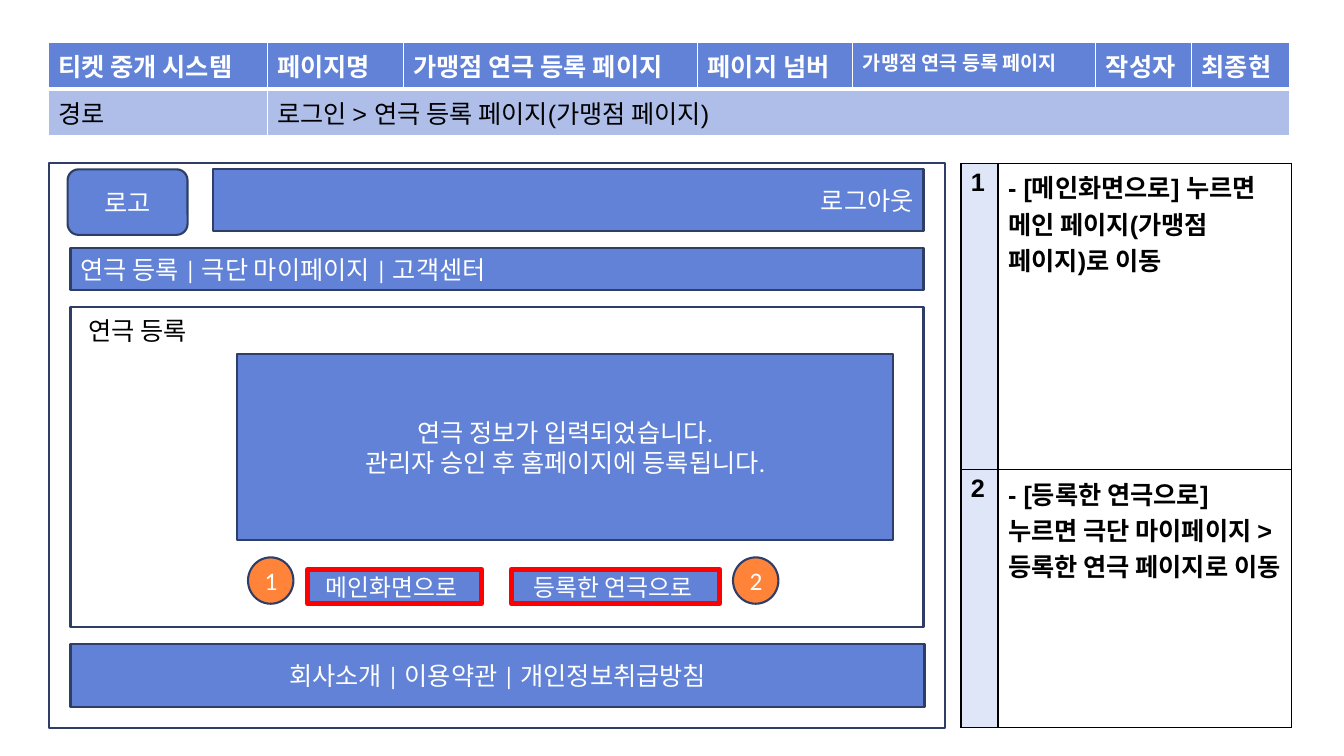
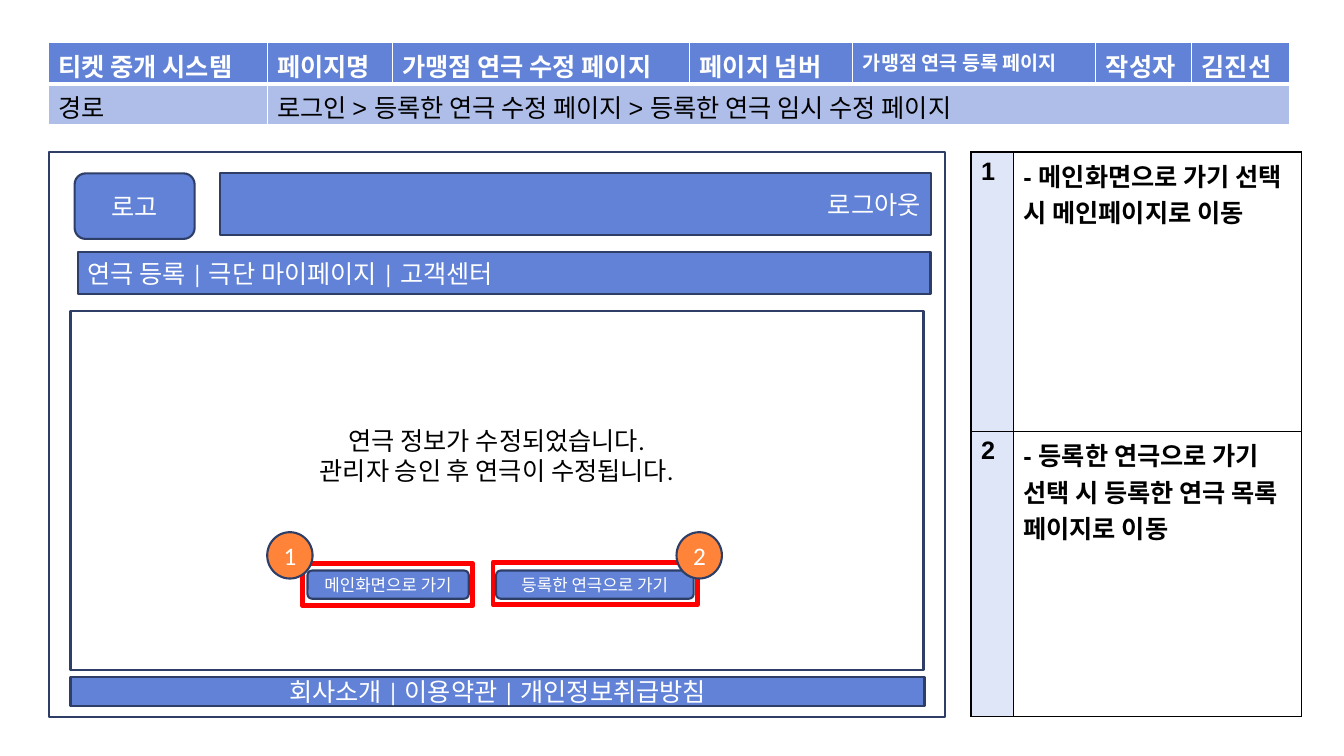
from lxml import etree
from pptx import Presentation
from pptx.dml.color import RGBColor
from pptx.enum import shapes, text
from pptx.oxml import ns
from pptx.util import Inches, Pt

COLORS = {
    "blue": "6182D6", "pale": "AEBEE9", "mist": "DFE6F7", "navy": "2E3E66",
    "orange": "FF843A", "red": "FF0000", "white": "FFFFFF", "black": "000000",
}
RECT = shapes.MSO_SHAPE.RECTANGLE
ROUND = shapes.MSO_SHAPE.ROUNDED_RECTANGLE
OVAL = shapes.MSO_SHAPE.OVAL
LEFT, CENTER, RIGHT = text.PP_ALIGN.LEFT, text.PP_ALIGN.CENTER, text.PP_ALIGN.RIGHT
HEADER_BORDER = {"L": 1, "R": 1, "T": 1, "B": 3}
ROUTE_BORDER = {"L": 1, "R": 1, "T": 3, "B": 1}
NOTE_BORDER = dict.fromkeys("LRTB", 1.2)


def rgb(name):
    return RGBColor.from_string(COLORS[name])


class Wireframe:
    """Holds the deck style and draws elements on the current slide."""

    def __init__(self):
        self.prs = Presentation()
        self.prs.slide_width = Inches(13.33)
        self.prs.slide_height = Inches(7.5)
        self.s = None

    def new_slide(self):
        self.s = self.prs.slides.add_slide(self.prs.slide_layouts[6])

    def put_text(self, tf, lines, color="white", size=18, align=LEFT, font="Calibri", bold=False):
        style = {"name": font, "size": Pt(size), "bold": bold}
        for i, line in enumerate(lines.split("\n")):
            p = tf.add_paragraph() if i else tf.paragraphs[0]
            p.alignment = align
            r = p.add_run()
            r.text = line
            for key, value in style.items():
                setattr(r.font, key, value)
            r.font.color.rgb = rgb(color)
            if font == "Calibri":
                ea = etree.SubElement(r.font._element, ns.qn("a:ea"))
                ea.set("typeface", font)

    def box(self, at, label="", kind=RECT, fill="blue", line="navy", width=1.5, size=18, align=CENTER):
        sp = self.s.shapes.add_shape(kind, *map(Inches, at))
        sp.shadow.inherit = False
        if fill:
            sp.fill.solid()
            sp.fill.fore_color.rgb = rgb(fill)
        else:
            sp.fill.background()
        sp.line.color.rgb = rgb(line)
        sp.line.width = Pt(width)
        if label:
            self.put_text(sp.text_frame, label, size=size, align=align)

    def outline(self, at):
        self.box(at, fill=None)

    def highlight(self, at):
        self.box(at, fill=None, line="red", width=3.5)

    def badge(self, x, y, number):
        self.box((x, y, 0.45, 0.46), number, OVAL, "orange")

    def caption(self, at, label, align=LEFT):
        tf = self.s.shapes.add_textbox(*map(Inches, at)).text_frame
        tf.word_wrap = True
        self.put_text(tf, label, "black", align=align)

    def grid(self, x, y, cols, rows):
        shape = self.s.shapes.add_table(
            len(rows), len(cols), *map(Inches, (x, y, sum(cols), sum(rows))))
        table = shape.table
        table.horz_banding = False
        for col, width in zip(table.columns, cols):
            col.width = Inches(width)
        for row, height in zip(table.rows, rows):
            row.height = Inches(height)
        return table

    def cell(self, cell, label, fill, line, borders, color="black", size=18, bold=True):
        tcPr = cell._tc.get_or_add_tcPr()
        for side, width in borders.items():
            ln = etree.SubElement(tcPr, ns.qn(f"a:ln{side}"), w=str(Pt(width)))
            paint = etree.SubElement(ln, ns.qn("a:solidFill"))
            etree.SubElement(paint, ns.qn("a:srgbClr"), val=COLORS[line])
        cell.fill.solid()
        cell.fill.fore_color.rgb = rgb(fill)
        if label:
            self.put_text(cell.text_frame, label, color, size, font="Arial", bold=bold)

    def header(self, cols, page, author, route):
        table = self.grid(0.48, 0.42, cols, (0.41, 0.41))
        labels = ("티켓 중개 시스템", "페이지명", page, "페이지 넘버",
                  "가맹점 연극 등록 페이지", "작성자", author)
        table.cell(1, 1).merge(table.cell(1, 6))
        for i, label in enumerate(labels):
            self.cell(table.cell(0, i), label, "blue", "white", HEADER_BORDER,
                      "white", 14 if i == 4 else 18)
            below = ("경로", route)[i] if i < 2 else ""
            self.cell(table.cell(1, i), below, "pale", "white", ROUTE_BORDER, bold=False)

    def notes(self, x, y, cols, rows, items):
        table = self.grid(x, y, cols, rows)
        for i, item in enumerate(items):
            self.cell(table.cell(i, 0), str(i + 1), "mist", "black", NOTE_BORDER)
            self.cell(table.cell(i, 1), item, "white", "black", NOTE_BORDER)

    def site(self, top, x, y, content, footer):
        self.outline((0.49, top, 8.88, 5.6))
        self.outline((0.7, content[0], 8.46, content[1]))
        self.box((x, y, 1.19, 0.65), "로고", ROUND)
        self.box((x + 1.44, y, 7.05, 0.61), "로그아웃", align=RIGHT)
        self.box((x + 0.03, y + 0.78, 8.46, 0.42),
                 "연극 등록 | 극단 마이페이지 | 고객센터", align=LEFT)
        self.box((0.7, footer[0], 8.47, footer[1]), "회사소개 | 이용약관 | 개인정보취급방침")


def registered(w):
    w.new_slide()
    w.header((2.17, 1.35, 2.92, 1.54, 2.41, 0.95, 0.97), "가맹점 연극 등록 페이지",
             "최종현", "로그인 > 연극 등록 페이지(가맹점 페이지)")
    w.site(1.62, 0.67, 1.68, (3.05, 3.17), (6.39, 0.62))
    w.caption((0.78, 3.08, 2.15, 0.4), "연극 등록")
    w.notes(9.53, 1.62, (0.37, 2.91), (3.04, 2.56), (
        "- [메인화면으로] 누르면 메인 페이지(가맹점 페이지)로 이동",
        "- [등록한 연극으로] 누르면 극단 마이페이지 > 등록한 연극 페이지로 이동"))
    w.box((2.35, 3.51, 6.51, 1.85),
          "연극 정보가 입력되었습니다.\n관리자 승인 후 홈페이지에 등록됩니다.")
    buttons = ((3.05, 1.73, "메인화면으로 ", 2.46), (5.07, 2.07, "등록한 연극으로 ", 7.27))
    for i, (x, width, label, badge_x) in enumerate(buttons, 1):
        at = (x, 5.65, width, 0.34)
        w.box(at, label, size=17)
        w.highlight(at)
        w.badge(badge_x, 5.53, str(i))


def edited(w):
    w.new_slide()
    w.header((2.17, 1.24, 2.95, 1.62, 2.41, 0.95, 0.97), "가맹점 연극 수정 페이지",
             "김진선", "로그인 > 등록한 연극 수정 페이지 > 등록한 연극 임시 수정 페이지")
    w.site(1.51, 0.74, 1.72, (3.09, 3.56), (6.72, 0.28))
    w.caption((2.78, 4.17, 4.29, 0.71),
              "연극 정보가 수정되었습니다.\n관리자 승인 후 연극이 수정됩니다.", CENTER)
    w.notes(9.63, 1.51, (0.42, 2.86), (2.77, 2.83), (
        "- 메인화면으로 가기 선택 시 메인페이지로 이동",
        "- 등록한 연극으로 가기 선택 시 등록한 연극 목록 페이지로 이동"))
    buttons = ((3.05, 1.6, "메인화면으로 가기", (3, 5.59, 1.69, 0.42), 2.65),
               (4.92, 1.96, "등록한 연극으로 가기", (4.89, 5.58, 2.03, 0.42), 6.71))
    for i, (x, width, label, frame, badge_x) in enumerate(buttons, 1):
        w.highlight(frame)
        w.box((x, 5.66, width, 0.28), label, ROUND, size=12)
        w.badge(badge_x, 5.28, str(i))


def main():
    w = Wireframe()
    registered(w)
    edited(w)
    w.prs.save("out.pptx")


if __name__ == "__main__":
    main()
